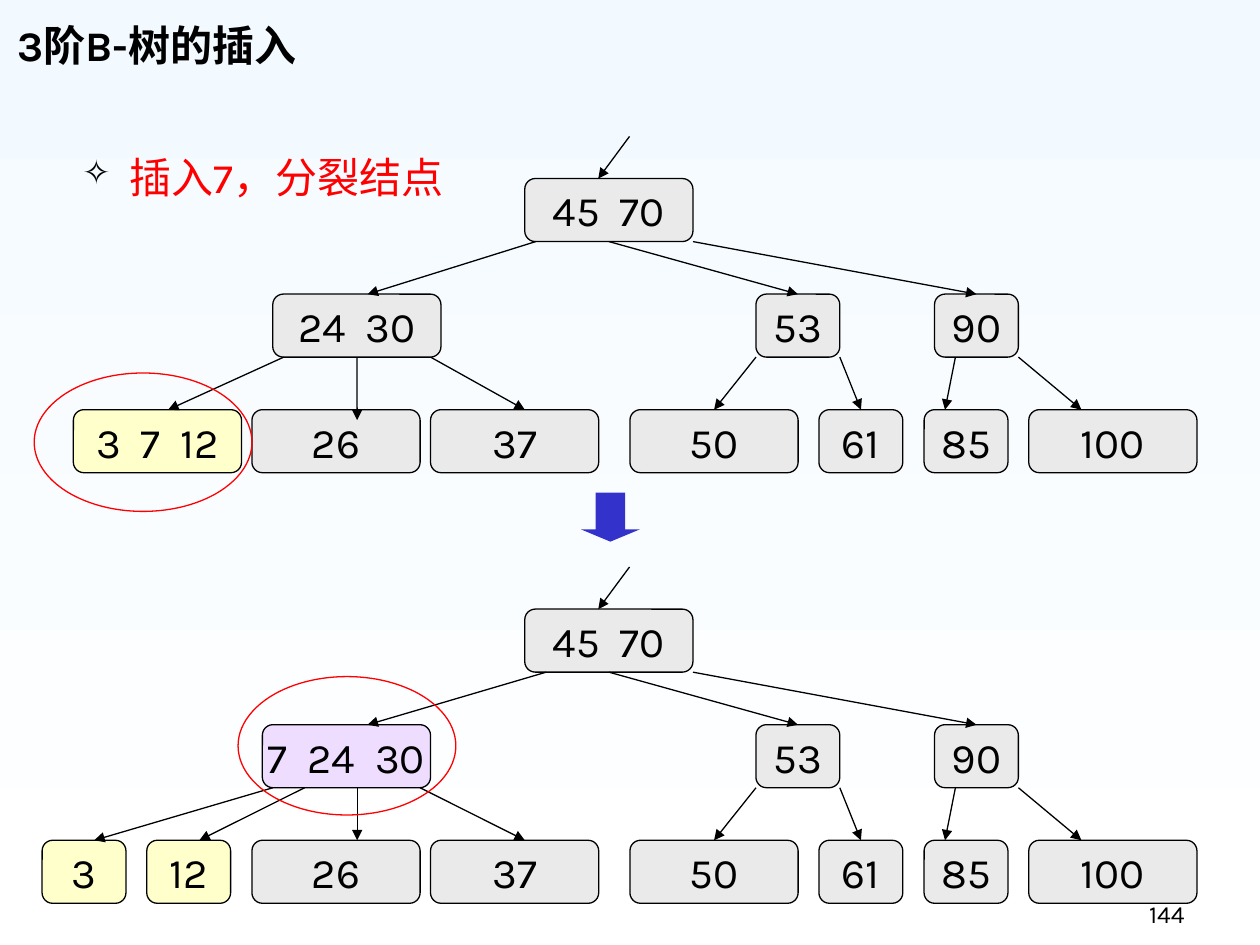
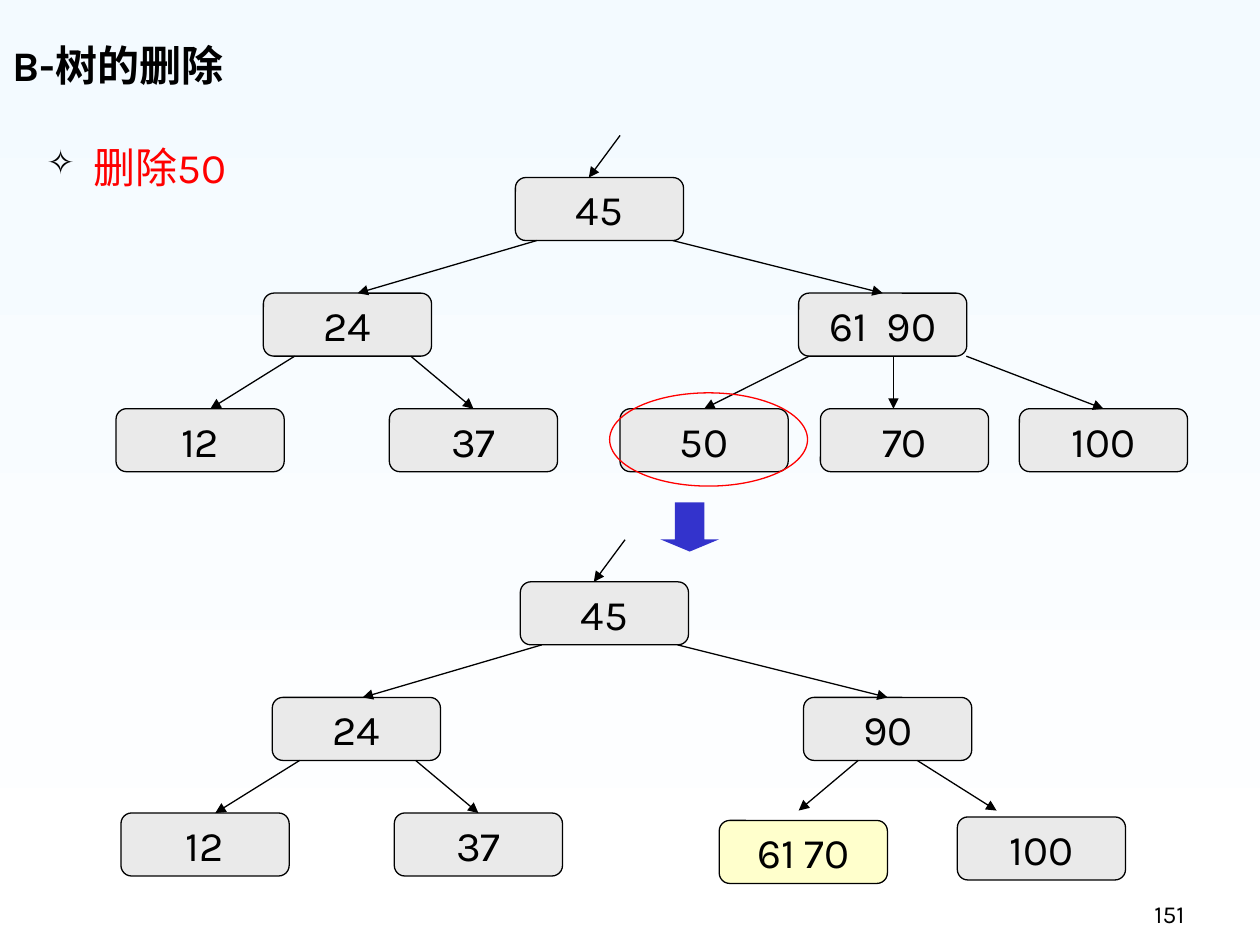
from lxml import etree
from pptx import Presentation
from pptx import util as u
from pptx.dml.color import RGBColor
from pptx.enum import shapes, text
from pptx.oxml import ns

FONT = "Karla"
COLORS = {
    "ink": "000000", "accent": "FF0000", "step": "3333CC",
    "sky": "F3FAFF", "white": "FFFFFF",
    "plain": "EAEAEA", "changed": "FFFFCC", "overfull": "EEDDFF",
}

# All lengths are centimetres.
WIDE, NARROW, NODE_HEIGHT, LEVEL_PITCH = 3.39, 1.69, 1.27, 2.33
ENTRY_FROM, ENTRY_TO, ENTRY_RISE = 2.11, 1.48, 0.85
STEP_SIZE = (1.19, 0.99)
CENTRE_TOLERANCE = 0.05

# Nodes: level, keys, left, width, fill, extra drop.
# Arrows: upper level, start x, end x, extra drop of the end.
INSERT_NODES = [
    (0, "45  70", 10.58, WIDE, "plain", 0),
    (1, "53", 15.24, NARROW, "plain", 0),
    (1, "90", 18.84, NARROW, "plain", 0),
    (2, "26", 5.08, WIDE, "plain", 0),
    (2, "37", 8.68, WIDE, "plain", 0),
    (2, "50", 12.7, WIDE, "plain", 0),
    (2, "61", 16.51, NARROW, "plain", 0),
    (2, "85", 18.63, NARROW, "plain", 0),
    (2, "100", 20.74, WIDE, "plain", 0),
]
INSERT_ARROWS = [
    (0, 12.28, 16.09, 0), (0, 13.97, 19.68, 0),
    (1, 15.24, 14.39, 0), (1, 16.93, 17.36, 0),
    (1, 19.26, 19.05, 0), (1, 20.53, 21.8, 0),
]
DELETE_NODES = [
    (0, "45", 10.39, WIDE, "plain", 0),
    (2, "12", 2.34, WIDE, "plain", 0),
    (2, "37", 7.85, WIDE, "plain", 0),
]
DELETE_ARROWS = [
    (0, 10.82, 7.21, 0), (0, 13.56, 17.8, 0),
    (1, 5.94, 4.24, 0), (1, 8.28, 9.55, 0),
]

SLIDES = [
    {
        "title": ("3阶B-树的插入", (0.1, 0.13, 21.64, 1.4)),
        "task": ("插入7，分裂结点", (0.69, 2.92, 9.22, 1.42), "CENTER"),
        "number": "144",
        "step": (11.71, 9.93),
        "rings": [(0.69, 7.52, 4.39, 2.79), (4.8, 13.64, 4.39, 2.79)],
        "trees": [
            {"top": 3.6, "shift": 0,
             "nodes": INSERT_NODES + [
                 (1, "24  30", 5.5, WIDE, "plain", 0),
                 (2, "3  7  12", 1.48, WIDE, "changed", 0)],
             "arrows": INSERT_ARROWS + [
                 (0, 10.8, 7.41, 0), (1, 5.72, 3.39, 0),
                 (1, 7.2, 7.2, 0.21), (1, 8.68, 10.58, 0)]},
            {"top": 12.28, "shift": 0,
             "nodes": INSERT_NODES + [
                 (1, "7  24  30", 5.29, WIDE, "overfull", 0),
                 (2, "3", 0.85, NARROW, "changed", 0),
                 (2, "12", 2.96, NARROW, "changed", 0)],
             "arrows": INSERT_ARROWS + [
                 (0, 11.01, 7.41, 0), (1, 5.5, 1.9, 0), (1, 6.14, 4.02, 0),
                 (1, 7.2, 7.2, 0), (1, 8.47, 10.58, 0)]},
        ],
    },
    {
        "title": ("B-树的删除", (0, 0, 21.64, 1.93)),
        "task": ("删除50", (0.69, 2.72, 10.8, 3.4), "LEFT"),
        "number": "151",
        "step": (13.31, 10.13),
        "rings": [(12.29, 7.92, 3.99, 1.88)],
        "trees": [
            {"top": 3.58, "shift": 0,
             "nodes": DELETE_NODES + [
                 (1, "24", 5.31, WIDE, "plain", 0),
                 (1, "61  90", 16.1, WIDE, "plain", 0),
                 (2, "50", 12.5, WIDE, "plain", 0),
                 (2, "70", 16.54, WIDE, "plain", 0),
                 (2, "100", 20.55, WIDE, "plain", 0)],
             "arrows": DELETE_ARROWS + [
                 (1, 16.31, 14.2, 0), (1, 18.01, 18.01, 0),
                 (1, 19.48, 22.25, 0)]},
            {"top": 11.73, "shift": 0.1,
             "nodes": DELETE_NODES + [
                 (1, "24", 5.39, WIDE, "plain", 0),
                 (1, "90", 16.1, WIDE, "plain", 0),
                 (2, "61 70", 14.4, WIDE, "changed", 0.15),
                 (2, "100", 19.2, WIDE, "plain", 0.08)],
             "arrows": DELETE_ARROWS + [
                 (1, 17.2, 16, -0.05), (1, 18.39, 19.99, -0.05)]},
        ],
    },
]


def color(name):
    return RGBColor.from_string(COLORS[name])


def cm(*lengths):
    return [u.Cm(length) for length in lengths]


def write(shape, words, size=24, ink="ink", bold=False, align="LEFT",
          anchor="TOP", wrap=True):
    frame = shape.text_frame
    frame.text = words
    frame.word_wrap = wrap
    frame.vertical_anchor = getattr(text.MSO_ANCHOR, anchor)
    paragraph = frame.paragraphs[0]
    paragraph.alignment = getattr(text.PP_ALIGN, align)
    font = paragraph.runs[0].font
    font.name, font.size, font.bold = FONT, u.Pt(size), bold
    font.color.rgb = color(ink)
    return paragraph


def add_text(slide, box, words, **style):
    return write(slide.shapes.add_textbox(*cm(*box)), words, **style)


def add_element(parent, tag, **attributes):
    return etree.SubElement(parent, ns.qn(tag), attributes)


def add_star_bullet(paragraph):
    properties = paragraph._p.get_or_add_pPr()
    indent = u.Cm(0.95)
    properties.set("marL", str(indent))
    properties.set("indent", str(-indent))
    add_element(add_element(properties, "a:spcBef"), "a:spcPct", val="20000")
    add_element(add_element(properties, "a:buClr"), "a:srgbClr", val=COLORS["ink"])
    add_element(properties, "a:buSzPct", val="80000")
    add_element(properties, "a:buChar", char="✧")


def add_shape(slide, kind, box, fill=None, line=None):
    shape = slide.shapes.add_shape(kind, *cm(*box))
    shape.shadow.inherit = False
    if fill:
        shape.fill.solid()
        shape.fill.fore_color.rgb = color(fill)
    else:
        shape.fill.background()
    if line:
        shape.line.color.rgb = color(line)
        shape.line.width = u.Pt(0.75)
    else:
        shape.line.fill.background()
    return shape


def add_arrow(slide, start, end):
    connector = slide.shapes.add_connector(
        shapes.MSO_CONNECTOR.STRAIGHT, *cm(*start, *end))
    connector.line.color.rgb = color("ink")
    connector.line.width = u.Pt(0.75)
    add_element(connector.line._get_or_add_ln(), "a:tailEnd", type="triangle")
    add_element(connector._element.spPr, "a:effectLst")
    return connector


def node_at(nodes, x, y, bottom):
    """Return the node whose top or bottom middle lies at the point, if any."""
    reach = u.Cm(CENTRE_TOLERANCE)
    for node in nodes:
        edge = node.top + node.height * bottom
        centre = node.left + node.width / 2
        if abs(centre - u.Cm(x)) <= reach and abs(edge - u.Cm(y)) <= reach:
            return node
    return None


def add_tree(slide, tree):
    top, shift = tree["top"], tree["shift"]
    nodes = []
    for level, keys, left, width, fill, drop in tree["nodes"]:
        box = (left + shift, top + level * LEVEL_PITCH + drop, width, NODE_HEIGHT)
        node = add_shape(slide, shapes.MSO_SHAPE.ROUNDED_RECTANGLE, box, fill, "ink")
        write(node, keys, align="CENTER", anchor="MIDDLE", wrap=False)
        nodes.append(node)

    root_left = tree["nodes"][0][2] + shift
    add_arrow(slide, (root_left + ENTRY_FROM, top - ENTRY_RISE),
              (root_left + ENTRY_TO, top))
    for level, start_x, end_x, drop in tree["arrows"]:
        level_top = top + level * LEVEL_PITCH
        start = (start_x + shift, level_top + NODE_HEIGHT)
        end = (end_x + shift, level_top + LEVEL_PITCH + drop)
        arrow = add_arrow(slide, start, end)
        parent = node_at(nodes, *start, bottom=True)
        child = node_at(nodes, *end, bottom=False)
        if parent:
            arrow.begin_connect(parent, 2)
        if child:
            arrow.end_connect(child, 0)


def paint_background(slide):
    fill = slide.background.fill
    fill.gradient()
    fill.gradient_angle = 270
    for stop, name, position in zip(fill.gradient_stops, ("sky", "white"), (0, 1)):
        stop.color.rgb = color(name)
        stop.position = position


def add_slide(presentation, content):
    slide = presentation.slides.add_slide(presentation.slide_layouts[6])
    paint_background(slide)
    title, title_box = content["title"]
    add_text(slide, title_box, title, bold=True, anchor="BOTTOM")
    for tree in content["trees"]:
        add_tree(slide, tree)
    task, task_box, align = content["task"]
    add_star_bullet(add_text(slide, task_box, task, ink="accent", align=align))
    step = add_shape(slide, shapes.MSO_SHAPE.DOWN_ARROW,
                     content["step"] + STEP_SIZE, "step")
    step.adjustments[1] = 0.25
    for ring in content["rings"]:
        add_shape(slide, shapes.MSO_SHAPE.OVAL, ring, line="accent")
    add_text(slide, (18.84, 17.58, 5.29, 1.27), content["number"],
             size=14, align="RIGHT", anchor="BOTTOM")


def main():
    presentation = Presentation()
    presentation.slide_width, presentation.slide_height = cm(25.4, 19.05)
    for content in SLIDES:
        add_slide(presentation, content)
    presentation.save("out.pptx")


if __name__ == "__main__":
    main()
